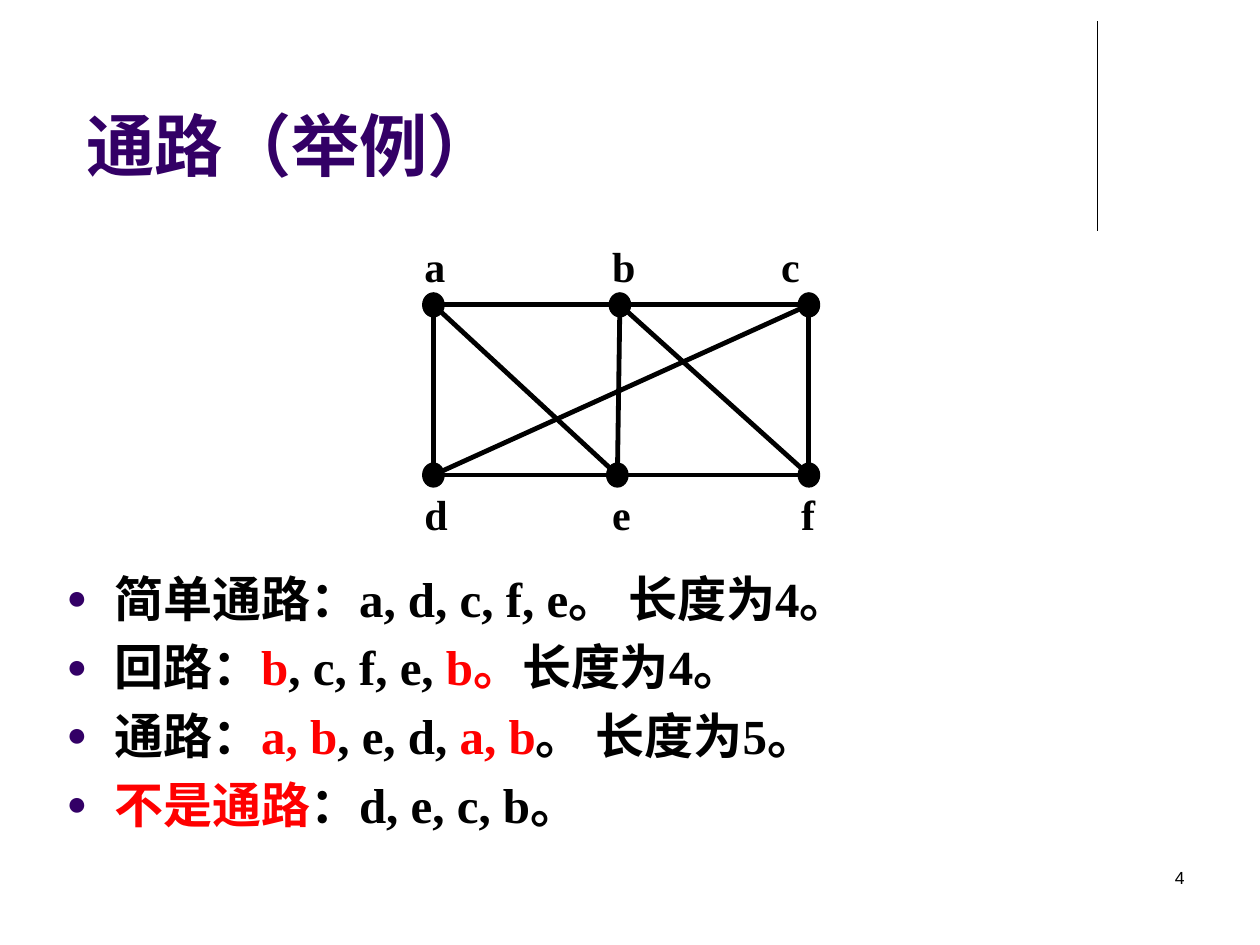
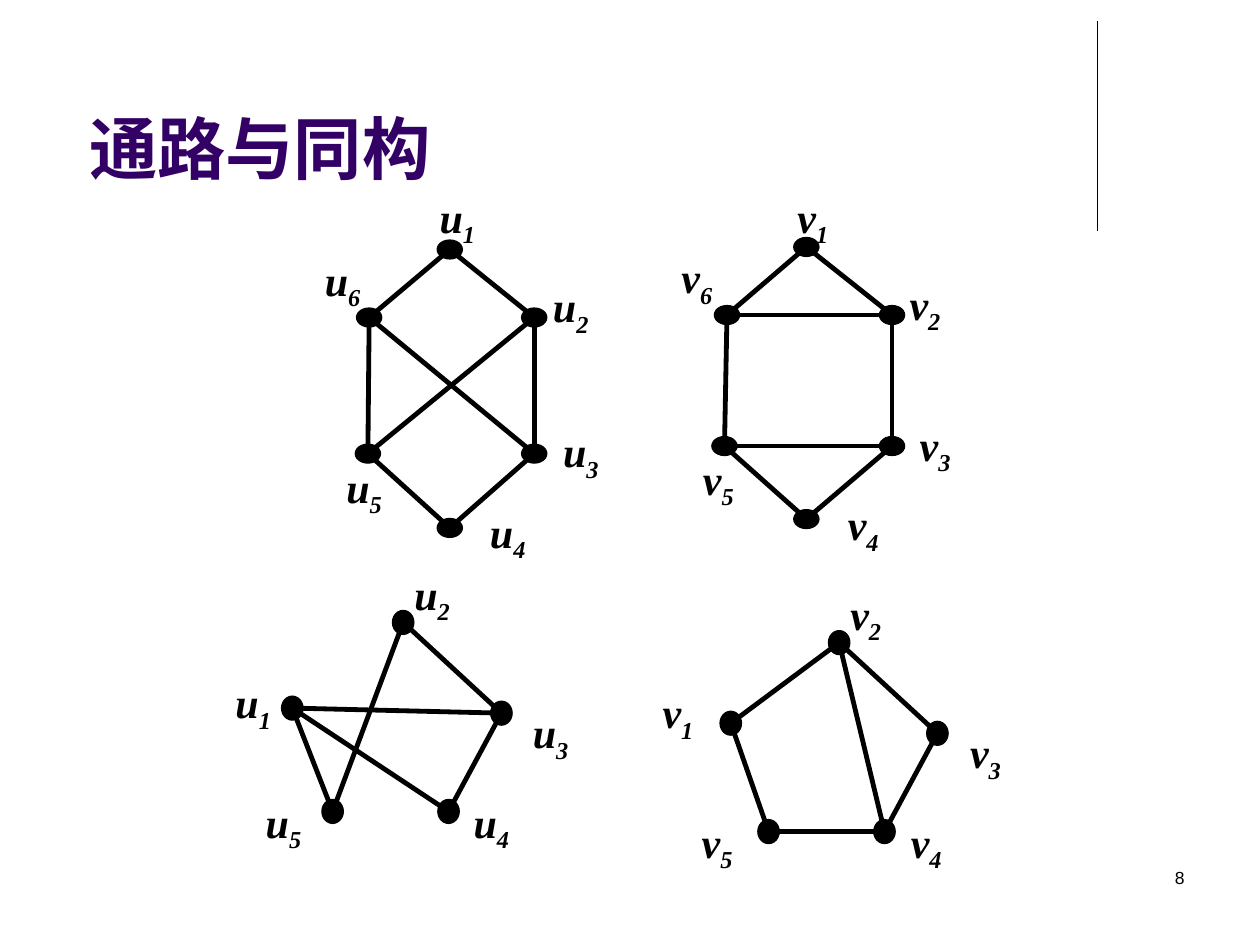
from lxml.etree import SubElement
from pptx import Presentation
from pptx.dml.color import RGBColor
from pptx.enum.shapes import MSO_CONNECTOR as Connector, MSO_SHAPE as Shape
from pptx.enum.text import MSO_ANCHOR as Anchor, PP_ALIGN as Align
from pptx.oxml.ns import qn
from pptx.util import Inches, Pt

BLACK = RGBColor(0x00, 0x00, 0x00)
RED = RGBColor(0xFF, 0x00, 0x00)
PURPLE = RGBColor(0x33, 0x00, 0x66)
HEADING_FONT = "Arial"
BODY_FONT = "Times New Roman"
FLAT_DOT = (0.2, 0.15)
ROUND_DOT = (0.17, 0.19)


def add_text(shapes, place, parts, font, size, color=BLACK, bold=True):
    box = shapes.add_textbox(*map(Inches, place))
    box.text_frame.word_wrap = True
    para = box.text_frame.paragraphs[0]
    for part in parts:
        para.add_run().text = part
    para.font.name = font
    para.font.size = Pt(size)
    para.font.bold = bold
    para.font.color.rgb = color
    return box


def add_line(shapes, start, end, width):
    points = [Inches(value) for value in (*start, *end)]
    line = shapes.add_connector(Connector.STRAIGHT, *points)
    line.line.color.rgb = BLACK
    line.line.width = Pt(width)
    SubElement(line._element.spPr, qn("a:effectLst"))


# Each node: centre x, centre y, label left, label top
path_graph = {
    "a": (3.44, 2.42, 3.27, 1.86),
    "b": (4.92, 2.42, 4.76, 1.86),
    "c": (6.42, 2.42, 6.1, 1.86),
    "d": (3.44, 3.77, 3.27, 3.83),
    "e": (4.9, 3.77, 4.76, 3.83),
    "f": (6.42, 3.77, 6.26, 3.83),
}
hexagon_u = {
    "1": (3.57, 1.98, 3.39, 1.47),
    "2": (4.24, 2.52, 4.29, 2.18),
    "3": (4.24, 3.6, 4.37, 3.33),
    "4": (3.57, 4.19, 3.79, 3.97),
    "5": (2.92, 3.6, 2.65, 3.61),
    "6": (2.93, 2.52, 2.48, 1.97),
}
hexagon_v = {
    "1": (6.4, 1.96, 6.23, 1.47),
    "2": (7.08, 2.5, 7.12, 2.16),
    "3": (7.08, 3.54, 7.2, 3.28),
    "4": (6.4, 4.12, 6.63, 3.91),
    "5": (5.75, 3.54, 5.48, 3.55),
    "6": (5.77, 2.5, 5.31, 1.95),
}
pentagon_u = {
    "1": (2.32, 5.62, 1.77, 5.32),
    "2": (3.2, 4.94, 3.19, 4.46),
    "3": (3.98, 5.66, 4.13, 5.56),
    "4": (3.56, 6.44, 3.66, 6.27),
    "5": (2.64, 6.44, 2.01, 6.27),
}
pentagon_v = {
    "1": (5.8, 5.74, 5.16, 5.4),
    "2": (6.66, 5.1, 6.65, 4.62),
    "3": (7.44, 5.82, 7.6, 5.72),
    "4": (7.02, 6.6, 7.13, 6.43),
    "5": (6.1, 6.6, 5.47, 6.43),
}

slides = [
    ("通路（举例）", (0.59, 0.52, 8.75, 1), "4", [
        ("", path_graph, "ab bc de ef ad be cf ae bf cd", ROUND_DOT),
    ]),
    ("通路与同构", (0.61, 0.52, 8.01, 1.02), "8", [
        ("u", hexagon_u, "12 23 34 45 56 61 25 36", FLAT_DOT),
        ("v", hexagon_v, "12 23 34 45 56 61 26 35", FLAT_DOT),
        ("u", pentagon_u, "13 14 15 23 25 34", ROUND_DOT),
        ("v", pentagon_v, "12 23 34 45 15 24", ROUND_DOT),
    ]),
]

deck = Presentation()
deck.slide_width = Inches(10)
deck.slide_height = Inches(7.5)

for title, title_place, number, graphs in slides:
    page = deck.slides.add_slide(deck.slide_layouts[6])
    add_line(page.shapes, (8.71, 0.17), (8.71, 1.83), 0.75)
    heading = add_text(page.shapes, title_place, [title], HEADING_FONT, 39, PURPLE)
    heading.text_frame.vertical_anchor = Anchor.BOTTOM
    footer = add_text(page.shapes, (7.17, 6.83, 2.33, 0.5), [number],
                      HEADING_FONT, 10, bold=False)
    footer.text_frame.paragraphs[0].alignment = Align.RIGHT

    for letter, nodes, edges, (dot_width, dot_height) in graphs:
        graph = page.shapes.add_group_shape().shapes
        for start, end in edges.split():
            add_line(graph, nodes[start][:2], nodes[end][:2], 2.75)
        for name, (x, y, label_left, label_top) in nodes.items():
            dot = graph.add_shape(
                Shape.OVAL, Inches(x - dot_width / 2), Inches(y - dot_height / 2),
                Inches(dot_width), Inches(dot_height))
            dot.shadow.inherit = False
            dot.fill.solid()
            dot.fill.fore_color.rgb = BLACK
            dot.line.color.rgb = BLACK
            dot.line.width = Pt(0.75)

            label_width = 0.65 if letter else 0.39
            parts = [letter, name] if letter else [name]
            label = add_text(graph, (label_left, label_top, label_width, 0.5),
                             parts, BODY_FONT, 24)
            if letter:
                para = label.text_frame.paragraphs[0]
                para.font.italic = True
                para.runs[1]._r.get_or_add_rPr().set("baseline", "-25000")

path_examples = [
    [("简单通路：a, d, c, f, e。 长度为4。", BLACK)],
    [("回路：", BLACK), ("b", RED), (", c, f, e,", BLACK), (" b。", RED),
     ("长度为4。", BLACK)],
    [("通路：", BLACK), ("a, b", RED), (", e, d, ", BLACK), ("a, b", RED),
     ("。 长度为5。", BLACK)],
    [("不是通路", RED), ("：d, e, c, b。", BLACK)],
]
body = deck.slides[0].shapes.add_textbox(
    Inches(0.43), Inches(4.46), Inches(9), Inches(2.52)).text_frame
body.word_wrap = True
for index, example in enumerate(path_examples):
    para = body.add_paragraph() if index else body.paragraphs[0]
    para.space_before = Pt(5.6)
    para.font.name = BODY_FONT
    para.font.size = Pt(28)
    para.font.bold = True
    for words, color in example:
        span = para.add_run()
        span.text = words
        span.font.color.rgb = color
    props = para._p.get_or_add_pPr()
    props.set("marL", str(Inches(0.38)))
    props.set("indent", str(-Inches(0.38)))
    bullet_color = SubElement(props, qn("a:buClr"))
    SubElement(bullet_color, qn("a:srgbClr"), val=str(PURPLE))
    SubElement(props, qn("a:buSzPct"), val="70000")
    SubElement(props, qn("a:buFont"), typeface=HEADING_FONT)
    SubElement(props, qn("a:buChar"), char="●")
    props.append(props.find(qn("a:defRPr")))

deck.save("out.pptx")
